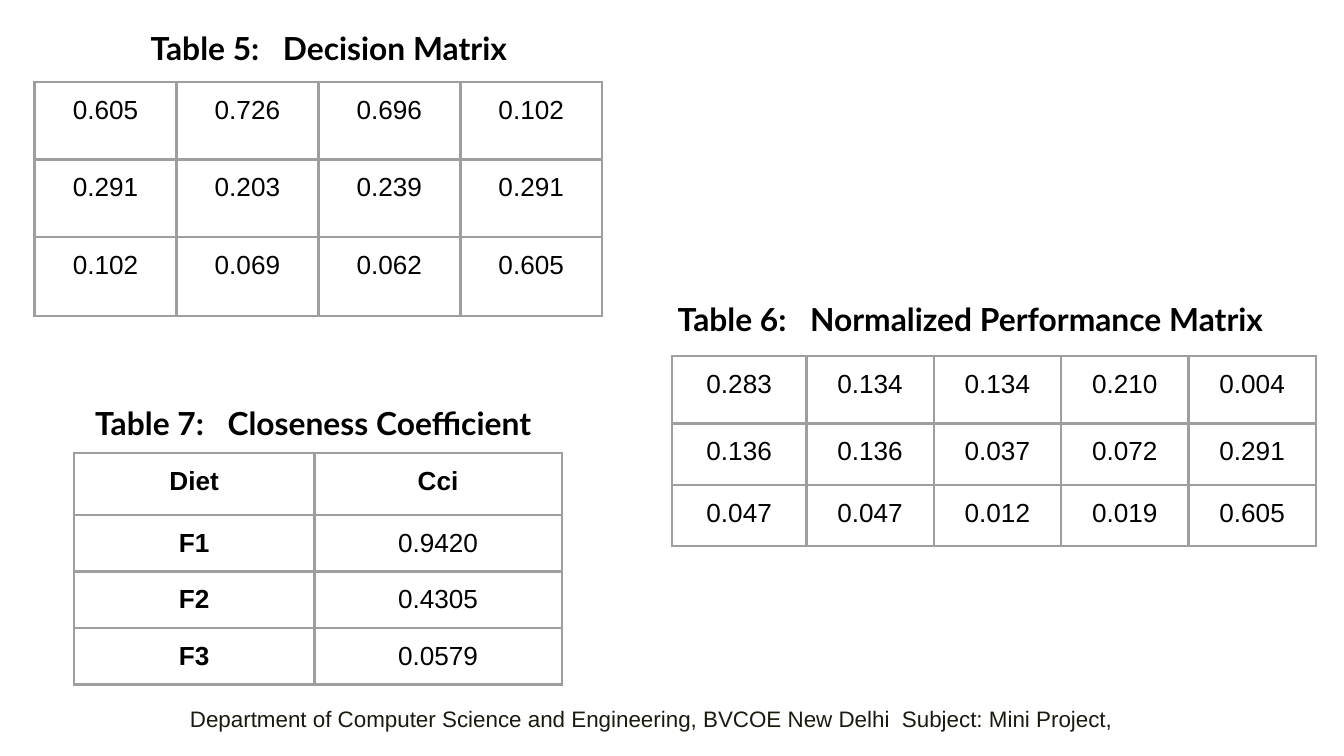
from lxml.etree import SubElement
from pptx import Presentation
from pptx.dml.color import RGBColor
from pptx.enum.text import MSO_ANCHOR, PP_ALIGN as Align
from pptx.oxml.ns import qn
from pptx.util import Inches, Pt

COLS, ROWS = 100, 56.25  # grid of 0.1 inch squares, 16:9


def color(hex_code):
    return RGBColor.from_string(hex_code)


class SlideBuilder:
    black, border_color = "000000", "9E9E9E"
    body_font, caption_font = "Arial", "Lato"
    body_size, caption_size, footer_size = 14, 17, 12
    inset, border_width, tab = 1, 1.5, 9.85

    def __init__(self, prs):
        self.unit = prs.slide_width / COLS
        self.slide = prs.slides.add_slide(prs.slide_layouts[6])

    def span(self, n):
        """Length of n grid squares."""
        return round(n * self.unit)

    def style(self, p, font, size, hex_code, bold=False):
        p.font.name, p.font.size, p.font.bold = font, Pt(size), bold
        p.font.color.rgb = color(hex_code)

    def set_margins(self, box):
        box.margin_left = box.margin_right = self.span(self.inset)
        box.margin_top = box.margin_bottom = self.span(self.inset)

    def text_box(self, x, y, w, h, text):
        sp = self.slide.shapes.add_textbox(*map(self.span, (x, y, w, h)))
        tf = sp.text_frame
        tf.word_wrap = True
        tf.vertical_anchor = MSO_ANCHOR.TOP
        self.set_margins(tf)
        p = tf.paragraphs[0]
        p.text = text
        return tf, p

    def caption(self, x, y, w, label, title, indent=0):
        """Bold heading whose title starts at a tab stop after the label."""
        tf, p = self.text_box(x, y, w, 3.3, f"{label}\t{title}")
        tf.margin_left = self.span(self.inset + indent)
        tabs = SubElement(p._p.get_or_add_pPr(), qn("a:tabLst"))
        SubElement(tabs, qn("a:tab"), pos=str(self.span(self.tab)), algn="l")
        self.style(p, self.caption_font, self.caption_size, self.black, True)

    def footer(self, x, y, w, h, text):
        _, p = self.text_box(x, y, w, h, text)
        p.alignment, p.line_spacing = Align.CENTER, 1.15
        self.style(p, self.body_font, self.footer_size, "191B0E")

    def add_borders(self, cell):
        tc_pr = cell._tc.get_or_add_tcPr()
        for side in ("lnL", "lnR", "lnT", "lnB"):
            ln = SubElement(tc_pr, qn(f"a:{side}"), w=str(Pt(self.border_width)))
            fill = SubElement(ln, qn("a:solidFill"))
            SubElement(fill, qn("a:srgbClr"), val=self.border_color)

    def table(self, x, y, widths, heights, rows, headed=False):
        """Bordered table; headed makes the first row and column bold."""
        area = map(self.span, (x, y, sum(widths), sum(heights)))
        tbl = self.slide.shapes.add_table(len(heights), len(widths), *area).table
        tbl.first_row = tbl.horz_banding = False
        for column, width in zip(tbl.columns, widths):
            column.width = self.span(width)
        for i, (height, values) in enumerate(zip(heights, rows)):
            tbl.rows[i].height = self.span(height)
            for j, value in enumerate(values):
                cell = tbl.cell(i, j)
                self.set_margins(cell)
                self.add_borders(cell)
                cell.fill.background()
                p = cell.text_frame.paragraphs[0]
                p.text, p.alignment = value, Align.CENTER
                bold = headed and (i == 0 or j == 0)
                self.style(p, self.body_font, self.body_size, self.black, bold)


def main():
    prs = Presentation()
    prs.slide_width = Inches(COLS / 10)
    prs.slide_height = Inches(ROWS / 10)
    s = SlideBuilder(prs)

    s.table(50, 26.5, [10] + [9.48] * 4, [5, 4.6, 4.55], [
        ("0.283", "0.134", "0.134", "0.210", "0.004"),
        ("0.136", "0.136", "0.037", "0.072", "0.291"),
        ("0.047", "0.047", "0.012", "0.019", "0.605"),
    ])
    s.table(5.5, 33.7, [17.9, 18.4], [4.63] + [4.2] * 3, [
        ("Diet", "Cci"),
        ("F1", "0.9420"),
        ("F2", "0.4305"),
        ("F3", "0.0579"),
    ], headed=True)
    s.table(2.57, 6.1, [10.56] * 4, [5.77, 5.77, 5.9], [
        ("0.605", "0.726", "0.696", "0.102"),
        ("0.291", "0.203", "0.239", "0.291"),
        ("0.102", "0.069", "0.062", "0.605"),
    ])
    s.caption(49.44, 21.3, 49.1, "Table 6:", "Normalized Performance Matrix")
    s.caption(6.1, 29.04, 36.9, "Table 7:", "Closeness Coefficient")
    s.caption(1.7, 1.16, 42.2, "Table 5:", "Decision Matrix", indent=8.5)
    s.footer(5.5, 51.2, 86, 5.1,
             "Department of Computer Science and Engineering, "
             "BVCOE New Delhi  Subject: Mini Project,")
    prs.save("out.pptx")


if __name__ == "__main__":
    main()
